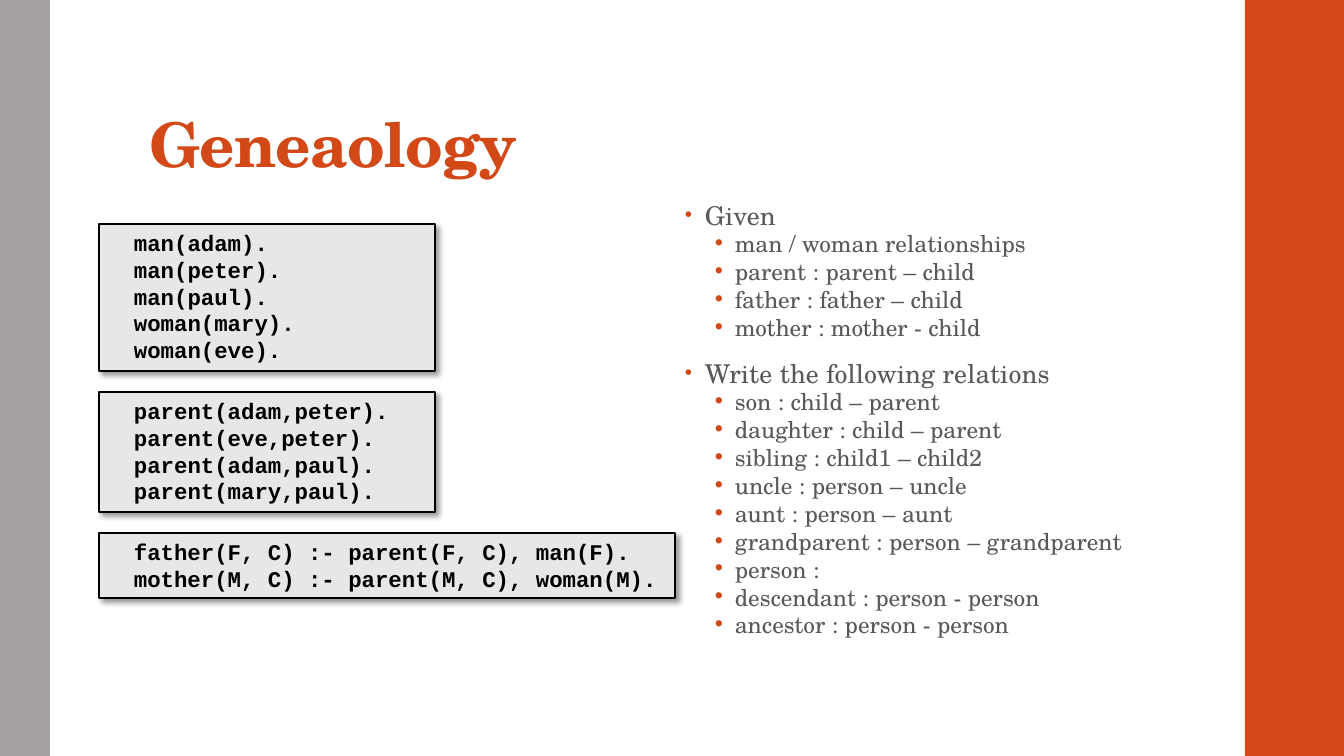
from dataclasses import dataclass

from lxml.etree import SubElement
from pptx import Presentation
from pptx.dml.color import RGBColor
from pptx.enum.shapes import MSO_SHAPE
from pptx.enum.text import MSO_ANCHOR, MSO_AUTO_SIZE, PP_ALIGN
from pptx.oxml.ns import qn
from pptx.util import Emu, Pt

EMU_PER_PX = 12192000 / 1344


@dataclass(frozen=True)
class Theme:
    """Colours, fonts and type sizes of the deck."""

    accent: str = "D34817"
    stripe: str = "A6A1A1"
    body: str = "595959"
    code: str = "000000"
    code_fill: str = "E9E6E7"
    serif: str = "TeX Gyre Schola"
    mono: str = "Courier New"
    title_size: float = 44
    topic_size: float = 18.5
    item_size: float = 16.6
    code_size: float = 16


THEME = Theme()

TOPICS = {
    "Given": [
        "man / woman relationships",
        "parent : parent – child",
        "father : father – child",
        "mother : mother - child",
    ],
    "Write the following relations": [
        "son : child – parent",
        "daughter : child – parent",
        "sibling : child1 – child2",
        "uncle : person – uncle",
        "aunt : person – aunt",
        "grandparent : person – grandparent",
        "person :",
        "descendant : person - person",
        "ancestor : person - person",
    ],
}

FACTS = [
    ((99, 224, 336, 147), 1,
     ["man(adam).", "man(peter).", "man(paul).", "woman(mary).", "woman(eve)."]),
    ((99, 392, 336, 120), 2,
     ["parent(adam,peter).", "parent(eve,peter).",
      "parent(adam,paul).", "parent(mary,paul)."]),
    ((99, 533, 576, 65), 2,
     ["father(F, C) :- parent(F, C), man(F).",
      "mother(M, C) :- parent(M, C), woman(M)."]),
]

TOPIC_FORMAT = {"level": 0, "line_spacing": 0.75, "space_before": Pt(14), "space_after": Pt(2)}
ITEM_FORMAT = {"level": 1, "line_spacing": 0.7, "space_before": Pt(3), "space_after": Pt(3)}


def px(length):
    """Turn pixels into EMU."""
    return Emu(round(length * EMU_PER_PX))


def apply(target, values):
    """Set every attribute named in a dict of format values."""
    for name, value in values.items():
        setattr(target, name, value)


def place(shape, box):
    """Move and size a shape by left, top, width and height in px."""
    apply(shape, dict(zip(("left", "top", "width", "height"), map(px, box))))


def add_span(para, text, font, size, color, bold=False, tracking=0):
    """Add a formatted run to a paragraph."""
    span = para.add_run()
    span.text = text
    apply(span.font, {"name": font, "size": Pt(size), "bold": bold})
    span.font.color.rgb = RGBColor.from_string(color)
    span.font._element.set("spc", str(tracking))


def next_para(frame, is_first):
    """Give the frame's first paragraph, or a new one."""
    return frame.paragraphs[0] if is_first else frame.add_paragraph()


def indent(para, margin, hanging=0):
    """Set the left margin and hanging indent of a paragraph in px."""
    properties = para._p.get_or_add_pPr()
    properties.set("marL", str(px(margin)))
    properties.set("indent", str(px(-hanging)))
    return properties


def add_bullet(para, margin, percent):
    """Give a paragraph a hanging bullet in the accent colour."""
    properties = indent(para, margin, 20)
    color = SubElement(properties, qn("a:buClr"))
    SubElement(color, qn("a:srgbClr"), val=THEME.accent)
    SubElement(properties, qn("a:buSzPct"), val=str(percent * 1000))
    SubElement(properties, qn("a:buFont"), typeface="Arial")
    SubElement(properties, qn("a:buChar"), char="•")


def add_rectangle(page, box, fill):
    """Add a plain filled rectangle."""
    shape = page.shapes.add_shape(MSO_SHAPE.RECTANGLE, *map(px, box))
    shape.shadow.inherit = False
    shape.fill.solid()
    shape.fill.fore_color.rgb = RGBColor.from_string(fill)
    shape.line.fill.background()
    return shape


def add_drop_shadow(shape):
    """Add a soft shadow towards the lower right."""
    effects = shape.element.spPr.find(qn("a:effectLst"))
    shadow = SubElement(effects, qn("a:outerShdw"), blurRad=str(Pt(4)), dist=str(Pt(3)),
                        dir="2700000", algn="tl", rotWithShape="0")
    color = SubElement(shadow, qn("a:srgbClr"), val=THEME.code)
    SubElement(color, qn("a:alpha"), val="40000")


def add_code_box(page, box, level, lines):
    """Add a shadowed box with lines of code."""
    shape = add_rectangle(page, box, THEME.code_fill)
    shape.line.color.rgb = RGBColor.from_string(THEME.code)
    shape.line.width = Pt(1)
    add_drop_shadow(shape)
    frame = shape.text_frame
    apply(frame, {"word_wrap": True, "vertical_anchor": MSO_ANCHOR.TOP,
                  "auto_size": MSO_AUTO_SIZE.SHAPE_TO_FIT_TEXT})
    for index, line in enumerate(lines):
        para = next_para(frame, index == 0)
        apply(para, {"level": level, "alignment": PP_ALIGN.LEFT})
        indent(para, 25)
        add_span(para, line, THEME.mono, THEME.code_size, THEME.code, bold=True)


def add_title(page, text, box):
    """Format the title placeholder and fill it."""
    title = page.shapes.title
    place(title, box)
    frame = title.text_frame
    apply(frame, {"word_wrap": True, "vertical_anchor": MSO_ANCHOR.BOTTOM,
                  "auto_size": MSO_AUTO_SIZE.NONE, "margin_left": px(10),
                  "margin_right": px(10), "margin_top": px(3), "margin_bottom": px(5)})
    para = frame.paragraphs[0]
    apply(para, {"alignment": PP_ALIGN.LEFT, "line_spacing": 0.9})
    add_span(para, text, THEME.serif, THEME.title_size, THEME.accent, bold=True, tracking=-50)


def add_topics(page, topics, box):
    """Add a two-level bulleted list."""
    frame = page.shapes.add_textbox(*map(px, box)).text_frame
    frame.word_wrap = True
    for index, (topic, items) in enumerate(topics.items()):
        para = next_para(frame, index == 0)
        apply(para, TOPIC_FORMAT)
        add_bullet(para, 20, 80)
        add_span(para, topic, THEME.serif, THEME.topic_size, THEME.body, tracking=10)
        for item in items:
            para = frame.add_paragraph()
            apply(para, ITEM_FORMAT)
            add_bullet(para, 50, 100)
            add_span(para, item, THEME.serif, THEME.item_size, THEME.body)


def main():
    """Build the slide and save it."""
    deck = Presentation()
    apply(deck, {"slide_width": px(1344), "slide_height": px(756)})
    page = deck.slides.add_slide(deck.slide_layouts[5])
    add_rectangle(page, (1245, 0, 99, 756), THEME.accent)
    add_rectangle(page, (0, 0, 50, 756), THEME.stripe)
    add_title(page, "Geneaology", (139, 32, 1068, 154))
    add_topics(page, TOPICS, (675, 202, 494, 480))
    for box, level, lines in FACTS:
        add_code_box(page, box, level, lines)
    deck.save("out.pptx")


if __name__ == "__main__":
    main()
